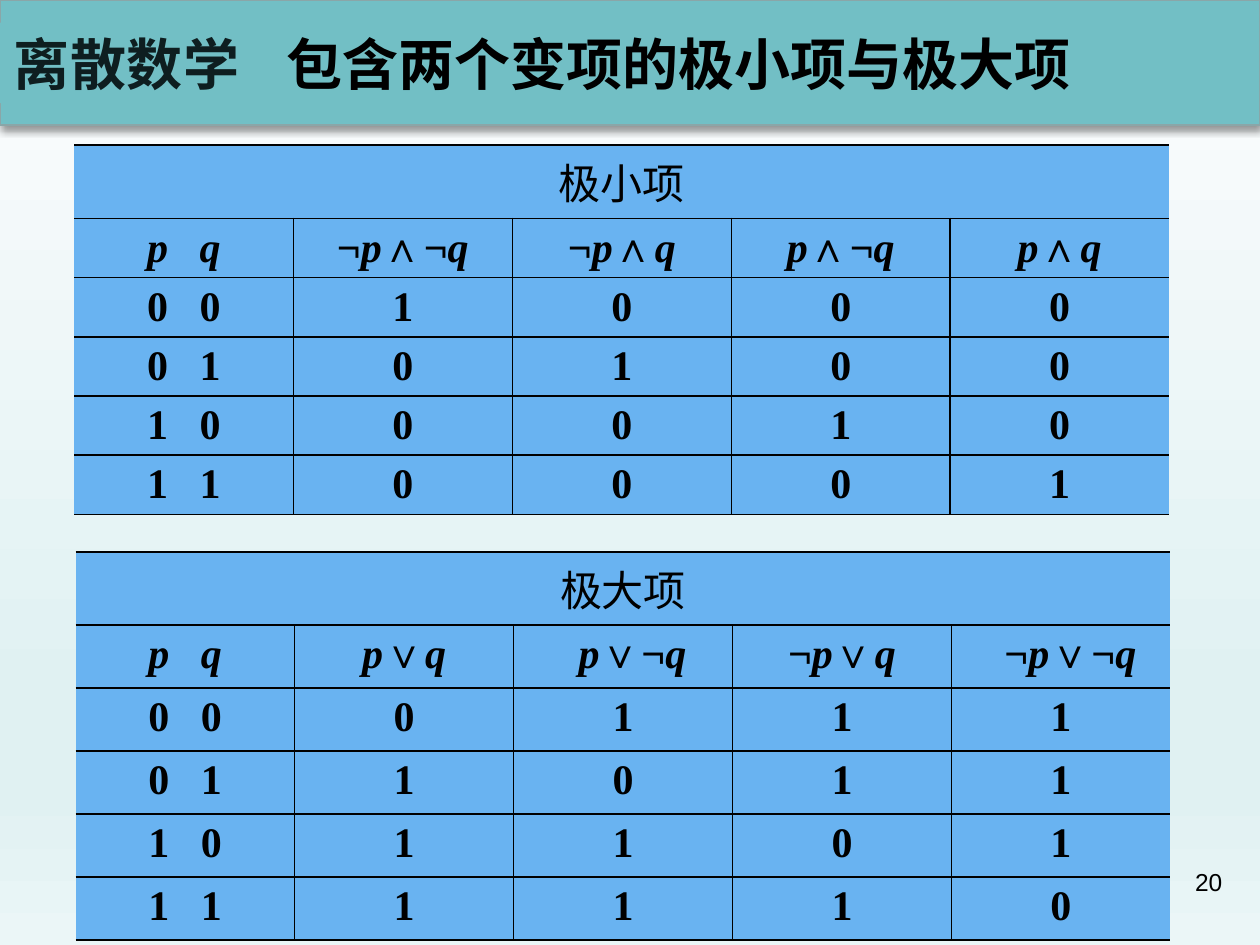
from dataclasses import dataclass
from itertools import groupby

from lxml import etree
from pptx import Presentation
from pptx.dml.color import RGBColor
from pptx.enum import shapes, text
from pptx.oxml.ns import qn
from pptx.util import Inches, Pt


@dataclass(frozen=True)
class Theme:
    bar: str = "72BFC5"
    bar_line: str = "8AA6A8"
    label: str = "0E1E20"
    ink: str = "000000"
    cell: str = "69B3F1"
    cjk: str = "Noto Sans CJK SC"
    sans: str = "Arial"
    serif: str = "Times New Roman"
    title_size: int = 32
    table_size: int = 24
    page_size: int = 14
    background: tuple = ((0, "FCFDFE"), (74, "E0F1F2"), (83, "E0F1F2"), (100, "EBF6F7"))


@dataclass(frozen=True)
class TruthTable:
    left: float
    top: float
    row_height: float
    heading: str
    formulas: tuple
    on_diagonal: str
    off_diagonal: str


T = Theme()
TABLE_WIDTH = 8.69
HEADING_HEIGHT = 0.58
ASSIGNMENTS = ("0 0", "0 1", "1 0", "1 1")
PAIR_GAP = 12  # extra points after the space between two values
MINTERMS = TruthTable(0.59, 1.15, 0.47, "极小项", ("¬p∧¬q", "¬p∧q", "p∧¬q", "p∧q"), "1", "0")
MAXTERMS = TruthTable(0.6, 4.38, 0.49, "极大项", ("p∨q", "p∨¬q", "¬p∨q", "¬p∨¬q"), "0", "1")


def rgb(color: str) -> RGBColor:
    return RGBColor.from_string(color)


def add_node(parent, tag: str, **attrs):
    return etree.SubElement(parent, qn(tag), {k: str(v) for k, v in attrs.items()})


def write(p, words: str, *, size: int, font: str, color: str = T.ink, bold: bool = False,
          italic: bool = False, east_asian: str = "", spacing: float = 0,
          align=text.PP_ALIGN.CENTER) -> None:
    """Append one formatted run to a paragraph."""
    p.alignment = align
    r = p.add_run()
    r.text = words
    f = r.font
    f.size, f.name, f.bold, f.italic = Pt(size), font, bold, italic
    f.color.rgb = rgb(color)
    rPr = r._r.get_or_add_rPr()
    if east_asian:
        rPr.find(qn("a:latin")).addnext(rPr.makeelement(qn("a:ea"), {"typeface": east_asian}))
    if spacing:
        rPr.set("spc", str(int(spacing * 100)))


def paint_background(s) -> None:
    s.background.fill.gradient()
    grad = s.element.find(".//" + qn("a:gradFill"))
    stops = grad.find(qn("a:gsLst"))
    for gs in list(stops):
        stops.remove(gs)
    for pos, color in T.background:
        add_node(add_node(stops, "a:gs", pos=pos * 1000), "a:srgbClr", val=color)
    s.background.fill.gradient_angle = 270


def add_bar(s, left: float, top: float, width: float, height: float):
    sp = s.shapes.add_shape(shapes.MSO_SHAPE.RECTANGLE, Inches(left), Inches(top),
                            Inches(width), Inches(height))
    sp.shadow.inherit = False
    sp.fill.solid()
    sp.fill.fore_color.rgb = rgb(T.bar)
    sp.line.fill.background()
    return sp


def add_header(s, course: str, title: str) -> None:
    # Full-width bar with a soft shadow below
    bar = add_bar(s, 0, 0, 10, 0.99)
    bar.line.color.rgb = rgb(T.bar_line)
    bar.line.width = Pt(1)
    shadow = add_node(bar.element.spPr.find(qn("a:effectLst")), "a:outerShdw", blurRad=Pt(4),
                      dist=Pt(3), dir=5400000, algn="t", rotWithShape=0)
    add_node(add_node(shadow, "a:srgbClr", val="000000"), "a:alpha", val=40000)

    # Course label
    tf = add_bar(s, 0, 0.18, 2.01, 0.64).text_frame
    tf.word_wrap = False
    write(tf.paragraphs[0], course, size=T.title_size, font=T.cjk, east_asian=T.cjk,
          color=T.label, bold=True, spacing=0.5)

    # Title placeholder, brought in front of the bar
    sp = s.shapes.title
    sp.left, sp.top, sp.width, sp.height = (Inches(v) for v in (2.04, 0.27, 6.69, 0.46))
    s.shapes.element.append(sp.element)
    tf = sp.text_frame
    tf.auto_size = text.MSO_AUTO_SIZE.NONE
    tf.vertical_anchor = text.MSO_ANCHOR.MIDDLE
    write(tf.paragraphs[0], title, size=T.title_size, font=T.cjk, east_asian=T.cjk, bold=True)


def style_cell(cell, rule_left: bool, rule_right: bool) -> None:
    """Fill the cell and rule its top, bottom and the chosen sides."""
    tcPr = cell._tc.get_or_add_tcPr()
    for tag, ruled in (("a:lnL", rule_left), ("a:lnR", rule_right), ("a:lnT", True), ("a:lnB", True)):
        ln = add_node(tcPr, tag, w=Pt(1))
        if ruled:
            add_node(add_node(ln, "a:solidFill"), "a:srgbClr", val=T.ink)
        else:
            add_node(ln, "a:noFill")
    cell.fill.solid()
    cell.fill.fore_color.rgb = rgb(T.cell)


def write_logic(p, words: str) -> None:
    """Variables are italic, signs and digits upright; a space is widened."""
    for kind, chars in groupby(words, lambda c: "var" if c in "pq" else "gap" if c == " " else "sign"):
        write(p, "".join(chars), size=T.table_size, font=T.serif, bold=True,
              italic=kind == "var", spacing=PAIR_GAP if kind == "gap" else 0)
    if "∨¬" in words:
        p._p.get_or_add_pPr().set("indent", str(Inches(0.15)))


def add_truth_table(s, spec: TruthTable) -> None:
    n = len(spec.formulas)
    rows = [("p q", *spec.formulas)]
    for i, pair in enumerate(ASSIGNMENTS):
        rows.append((pair, *(spec.on_diagonal if i == j else spec.off_diagonal for j in range(n))))
    height = HEADING_HEIGHT + spec.row_height * len(rows)
    tbl = s.shapes.add_table(len(rows) + 1, n + 1, Inches(spec.left), Inches(spec.top),
                             Inches(TABLE_WIDTH), Inches(height)).table
    tbl.first_row = tbl.horz_banding = False
    for i, row in enumerate(tbl.rows):
        row.height = Inches(spec.row_height if i else HEADING_HEIGHT)
        for j, cell in enumerate(row.cells):
            style_cell(cell, i > 0 and j > 0, i > 0 and j < n)

    # Heading across all columns
    head = tbl.cell(0, 0)
    head.merge(tbl.cell(0, n))
    write(head.text_frame.paragraphs[0], spec.heading, size=T.table_size, font=T.sans,
          east_asian=T.cjk)

    # Formulas and values
    for i, values in enumerate(rows, start=1):
        for j, value in enumerate(values):
            write_logic(tbl.cell(i, j).text_frame.paragraphs[0], value)


def add_page_number(s, number: str) -> None:
    """Stands in the margin, clear of the lower table."""
    tf = s.shapes.add_textbox(Inches(9.3), Inches(6.83), Inches(0.5), Inches(0.52)).text_frame
    tf.word_wrap = True
    write(tf.paragraphs[0], number, size=T.page_size, font=T.sans, align=text.PP_ALIGN.RIGHT)


def main() -> None:
    prs = Presentation()
    prs.slide_width, prs.slide_height = Inches(10), Inches(7.5)
    s = prs.slides.add_slide(prs.slide_layouts[5])
    paint_background(s)
    add_header(s, "离散数学", "包含两个变项的极小项与极大项")
    add_truth_table(s, MINTERMS)
    add_page_number(s, "20")
    add_truth_table(s, MAXTERMS)
    prs.save("out.pptx")


if __name__ == "__main__":
    main()
